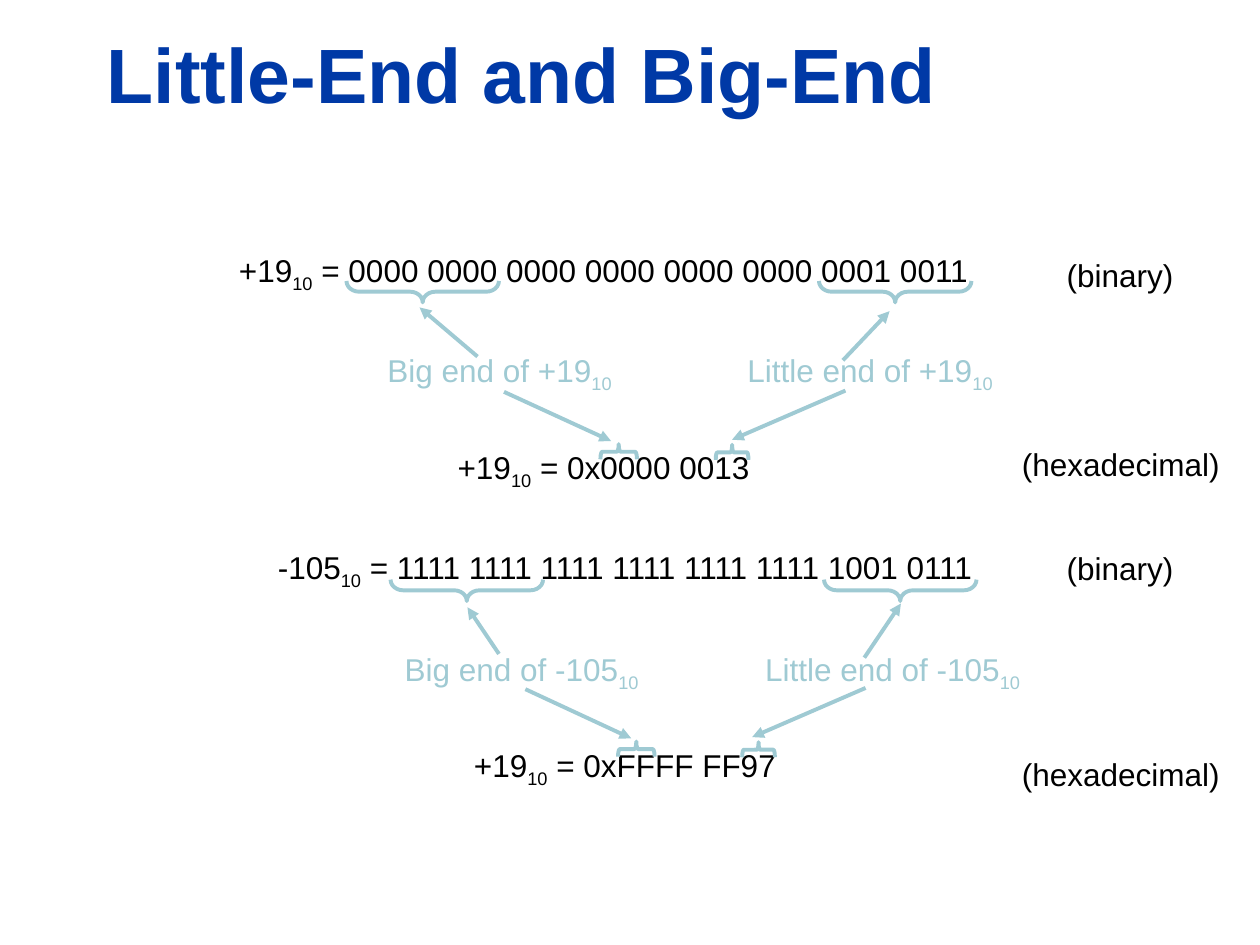
"""Build the slide on the big and little ends of two 32-bit numbers."""
from lxml import etree
from pptx import Presentation
from pptx import util as u
from pptx.dml import color
from pptx.enum import shapes, text
from pptx.oxml import ns

COLORS = {"title": "0039A6", "body": "000000", "accent": "9FCAD3"}
TITLE_FRAME = {"word_wrap": True, "vertical_anchor": text.MSO_ANCHOR.BOTTOM}
LABEL_FRAME = {"word_wrap": False, "vertical_anchor": text.MSO_ANCHOR.MIDDLE,
               "auto_size": text.MSO_AUTO_SIZE.SHAPE_TO_FIT_TEXT}
TITLE_FONT = {"name": "Arial", "size": u.Pt(44), "bold": True}
LABEL_FONT = {"name": "Arial", "size": u.Pt(18)}
LINE_WIDTH = u.Pt(2.25)

PLUS_EQUATIONS = [
    ((1.77, 1.94, 6.04, 0.44), ("+19", "10", " = 0000 0000 0000 0000 0000 0000 0001 0011")),
    ((3.5, 3.51, 2.58, 0.44), ("+19", "10", " = 0x0000 0013")),
]
PLUS_ENDS = [
    ((5.82, 2.74, 2.21, 0.44), ("Little end of +19", "10 ")),
    ((2.96, 2.74, 2.05, 0.44), ("Big end of +19", "10 ")),
]
PLUS_BRACES = [
    ((7.02, 1.71, 0.17, 1.21), 270, 0.59),
    ((3.27, 1.71, 0.17, 1.21), 270, 0.59),
    ((4.85, 3.44, 0.12, 0.29), 90, 0.12),
    ((5.75, 3.46, 0.12, 0.26), 90, 0.1),
]
PLUS_ARROWS = [
    (3.79, 2.83, 3.33, 2.44),
    (4, 3.11, 4.85, 3.5),
    (6.71, 3.1, 5.81, 3.49),
    (6.69, 2.86, 7.06, 2.47),
]
PLUS_BASES = [
    ((8.34, 1.98, 1.1, 0.4), ("(binary)",)),
    ((8, 3.48, 1.79, 0.4), ("(hexadecimal)",)),
]

MINUS_EQUATIONS = [
    ((1.9, 4.3, 6.12, 0.44), ("-105", "10", " = 1111 1111 1111 1111 1111 1111 1001 0111")),
    ((3.64, 5.87, 2.64, 0.44), ("+19", "10", " = 0xFFFF FF97")),
]
MINUS_ENDS = [
    ((5.96, 5.11, 2.29, 0.44), ("Little end of -105", "10 ")),
    ((3.1, 5.11, 2.12, 0.44), ("Big end of -105", "10 ")),
]
MINUS_BRACES = [
    ((7.06, 4.08, 0.17, 1.21), 270, 0.59),
    ((3.62, 4.08, 0.17, 1.21), 270, 0.59),
    ((4.99, 5.8, 0.12, 0.29), 90, 0.12),
    ((5.96, 5.82, 0.12, 0.26), 90, 0.1),
]
MINUS_ARROWS = [
    (3.96, 5.19, 3.71, 4.82),
    (4.17, 5.47, 5.01, 5.86),
    (6.87, 5.46, 5.97, 5.85),
    (6.86, 5.22, 7.15, 4.79),
]
MINUS_BASES = [
    ((8.34, 4.31, 1.1, 0.4), ("(binary)",)),
    ((8, 5.94, 1.79, 0.4), ("(hexadecimal)",)),
]


def apply(obj, values):
    for name, value in values.items():
        setattr(obj, name, value)


def rgb(name):
    return color.RGBColor.from_string(COLORS[name])


def style_line(sp):
    sp.line.color.rgb = rgb("accent")
    sp.line.width = LINE_WIDTH


def add_text(tree, box, parts, frame, font, ink, align):
    """Add a text box whose second part, if any, is a subscript."""
    sp = tree.add_textbox(*map(u.Inches, box))
    tf = sp.text_frame
    apply(tf, frame)
    p = tf.paragraphs[0]
    p.alignment = align
    for i, part in enumerate(parts):
        r = p.add_run()
        r.text = part
        apply(r.font, font)
        r.font.color.rgb = rgb(ink)
        if i == 1:
            r._r.get_or_add_rPr().set("baseline", "-25000")


def add_labels(tree, labels, ink="body"):
    for box, parts in labels:
        add_text(tree, box, parts, LABEL_FRAME, LABEL_FONT, ink, text.PP_ALIGN.CENTER)


def add_brace(tree, box, rotation, curve):
    sp = tree.add_shape(shapes.MSO_SHAPE.LEFT_BRACE, *map(u.Inches, box))
    sp.rotation = rotation
    sp.adjustments[0] = curve
    sp.shadow.inherit = False
    sp.fill.background()
    style_line(sp)


def add_arrow(tree, ends):
    sp = tree.add_connector(shapes.MSO_CONNECTOR.STRAIGHT, *map(u.Inches, ends))
    style_line(sp)
    etree.SubElement(sp.line._get_or_add_ln(), ns.qn("a:tailEnd"), type="triangle")
    etree.SubElement(sp._element.spPr, ns.qn("a:effectLst"))


def add_annotations(tree, braces, ends, arrows):
    for brace in braces:
        add_brace(tree, *brace)
    add_labels(tree, ends, "accent")
    for arrow in arrows:
        add_arrow(tree, arrow)


def main():
    prs = Presentation()
    prs.slide_width, prs.slide_height = u.Inches(10), u.Inches(7.5)
    s = prs.slides.add_slide(prs.slide_layouts[6])
    add_text(s.shapes, (0.75, 0.16, 9.03, 0.83), ("Little-End and Big-End",),
             TITLE_FRAME, TITLE_FONT, "title", text.PP_ALIGN.LEFT)

    add_labels(s.shapes, PLUS_EQUATIONS)
    plus = s.shapes.add_group_shape().shapes
    add_annotations(plus, PLUS_BRACES, PLUS_ENDS, PLUS_ARROWS)
    add_labels(s.shapes, PLUS_BASES)

    minus = s.shapes.add_group_shape().shapes
    add_labels(minus, MINUS_EQUATIONS)
    add_annotations(minus, MINUS_BRACES, MINUS_ENDS, MINUS_ARROWS)
    add_labels(minus, MINUS_BASES)
    prs.save("out.pptx")


if __name__ == "__main__":
    main()
